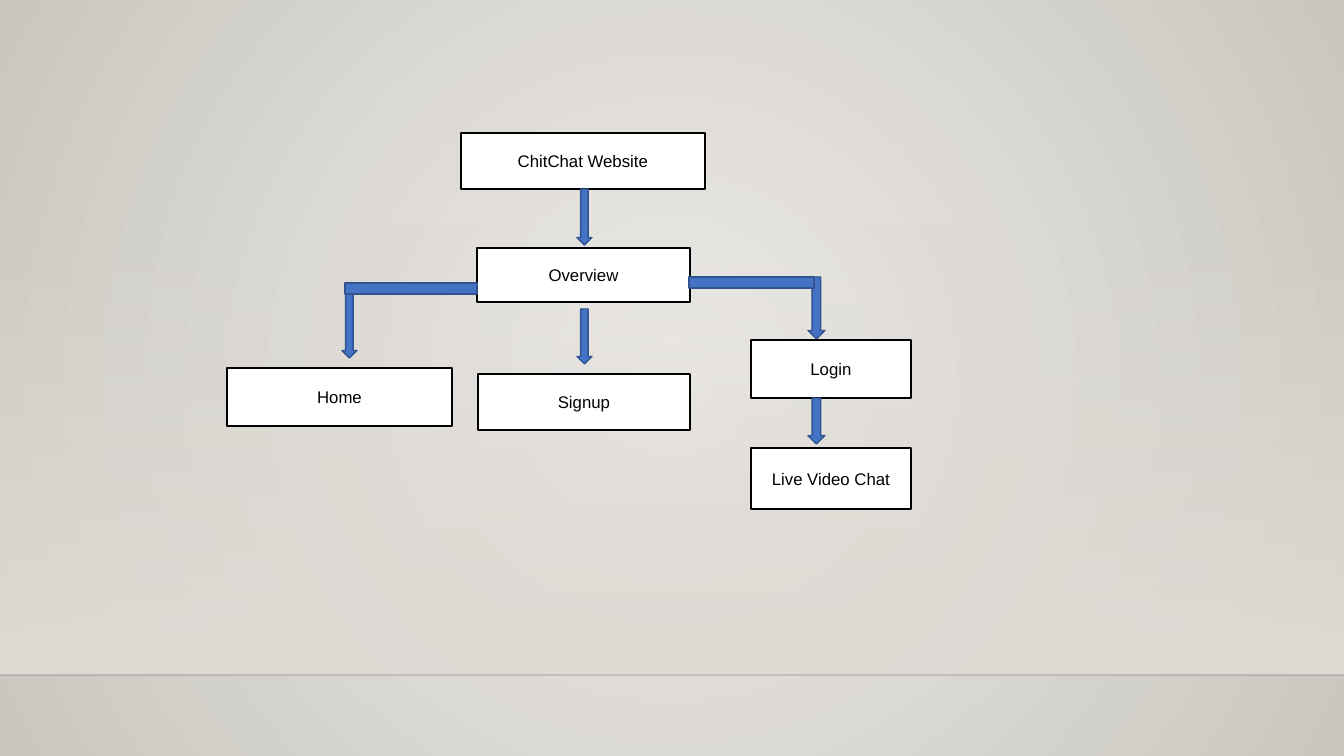
from lxml.etree import SubElement
from pptx import Presentation
from pptx.dml.color import RGBColor
from pptx.enum.shapes import MSO_CONNECTOR as Connector, MSO_SHAPE as Shape
from pptx.enum.text import MSO_ANCHOR as Anchor, PP_ALIGN as Align
from pptx.oxml import parse_xml
from pptx.oxml.ns import nsdecls, qn
from pptx.util import Inches, Pt

PX_PER_INCH = 100.8
SLIDE_W, SLIDE_H = 1344, 756
FLOOR_TOP, FLOOR_LINE = 223, 675

BLACK = RGBColor(0x00, 0x00, 0x00)
WHITE = RGBColor(0xFF, 0xFF, 0xFF)
BLUE = RGBColor(0x44, 0x72, 0xC4)
DARK_BLUE = RGBColor(0x31, 0x53, 0x8F)
NEAR_BLACK = RGBColor(0x00, 0x00, 0x01)
BACK_LIGHT = RGBColor(0xEC, 0xEA, 0xE7)
BACK_DARK = RGBColor(0xCA, 0xC7, 0xC1)
FLOOR = RGBColor(0xDF, 0xDB, 0xD5)

RADIAL = ('<a:path path="circle"><a:fillToRect l="50000" t="50000" '
          'r="50000" b="50000"/></a:path>')
DOWNWARD = '<a:lin ang="5400000" scaled="0"/>'

PAGES = [
    ("ChitChat Website", (461, 133, 244, 56)),
    ("Overview", (477, 248, 213, 54)),
    ("Home", (227, 368, 225, 58)),
    ("Signup", (478, 374, 212, 56)),
    ("Login", (751, 340, 160, 58)),
    ("Live Video Chat", (751, 448, 160, 61)),
]
ARROWS = [
    (577, 189, 15, 56),
    (577, 309, 15, 55),
    (808, 398, 17, 46),
    (342, 294, 15, 64),
    (808, 277, 17, 62),
]
BRANCHES = [(689, 277, 125, 11), (345, 283, 132, 11)]


def px(length):
    """Turn pixels into EMU."""
    return Inches(length / PX_PER_INCH)


def set_gradient(owner, stops, direction):
    """Swap the solid fill inside owner for a gradient of (percent, colour, opacity)."""
    stop_xml = "".join(
        f'<a:gs pos="{percent * 1000}"><a:srgbClr val="{colour}">'
        f'<a:alpha val="{opacity * 1000}"/></a:srgbClr></a:gs>'
        for percent, colour, opacity in stops)
    gradient = parse_xml(f'<a:gradFill {nsdecls("a")} rotWithShape="1">'
                         f'<a:gsLst>{stop_xml}</a:gsLst>{direction}</a:gradFill>')
    solid = next(owner.iter(qn("a:solidFill")))
    solid.getparent().replace(solid, gradient)


def add_block(slide, kind, box, fill, outline=None):
    """Add a flat preset shape, with a one-point outline if a colour is given."""
    block = slide.shapes.add_shape(kind, *map(px, box))
    block.shadow.inherit = False
    block.fill.solid()
    block.fill.fore_color.rgb = fill
    if outline is None:
        block.line.fill.background()
    else:
        block.line.color.rgb = outline
        block.line.width = Pt(1)
    return block


def add_page(slide, title, box):
    """Add one white page box with its centred title."""
    page = add_block(slide, Shape.RECTANGLE, box, WHITE, BLACK)
    frame = page.text_frame
    frame.text = title
    frame.word_wrap = True
    frame.vertical_anchor = Anchor.MIDDLE
    paragraph = frame.paragraphs[0]
    paragraph.alignment = Align.CENTER
    font = paragraph.runs[0].font
    font.name, font.size, font.color.rgb = "Arial", Pt(12), BLACK


def add_floor_line(slide):
    """Add the faint line across the full slide width."""
    edge = slide.shapes.add_connector(
        Connector.STRAIGHT, 0, px(FLOOR_LINE), px(SLIDE_W), px(FLOOR_LINE))
    edge.line.color.rgb = NEAR_BLACK
    edge.line.width = Pt(1)
    colour = next(edge._element.iter(qn("a:srgbClr")))
    SubElement(colour, qn("a:alpha")).set("val", "20000")
    SubElement(edge._element.spPr, qn("a:effectLst"))


def add_backdrop(slide):
    """Paint the radial background, the floor fade and the floor line."""
    slide.background.fill.solid()
    set_gradient(slide._element,
                 [(0, BACK_LIGHT, 100), (100, BACK_DARK, 100)], RADIAL)
    floor = add_block(slide, Shape.RECTANGLE,
                      (0, FLOOR_TOP, SLIDE_W, FLOOR_LINE - FLOOR_TOP), FLOOR)
    set_gradient(floor._element, [(0, FLOOR, 0), (100, FLOOR, 100)], DOWNWARD)
    add_floor_line(slide)


def main():
    """Build the site map slide and save it."""
    deck = Presentation()
    deck.slide_width, deck.slide_height = px(SLIDE_W), px(SLIDE_H)
    slide = deck.slides.add_slide(deck.slide_layouts[6])
    add_backdrop(slide)
    for title, box in PAGES:
        add_page(slide, title, box)
    for box in ARROWS:
        add_block(slide, Shape.DOWN_ARROW, box, BLUE, DARK_BLUE)
    for box in BRANCHES:
        add_block(slide, Shape.RECTANGLE, box, BLUE, DARK_BLUE)
    deck.save("out.pptx")


main()
